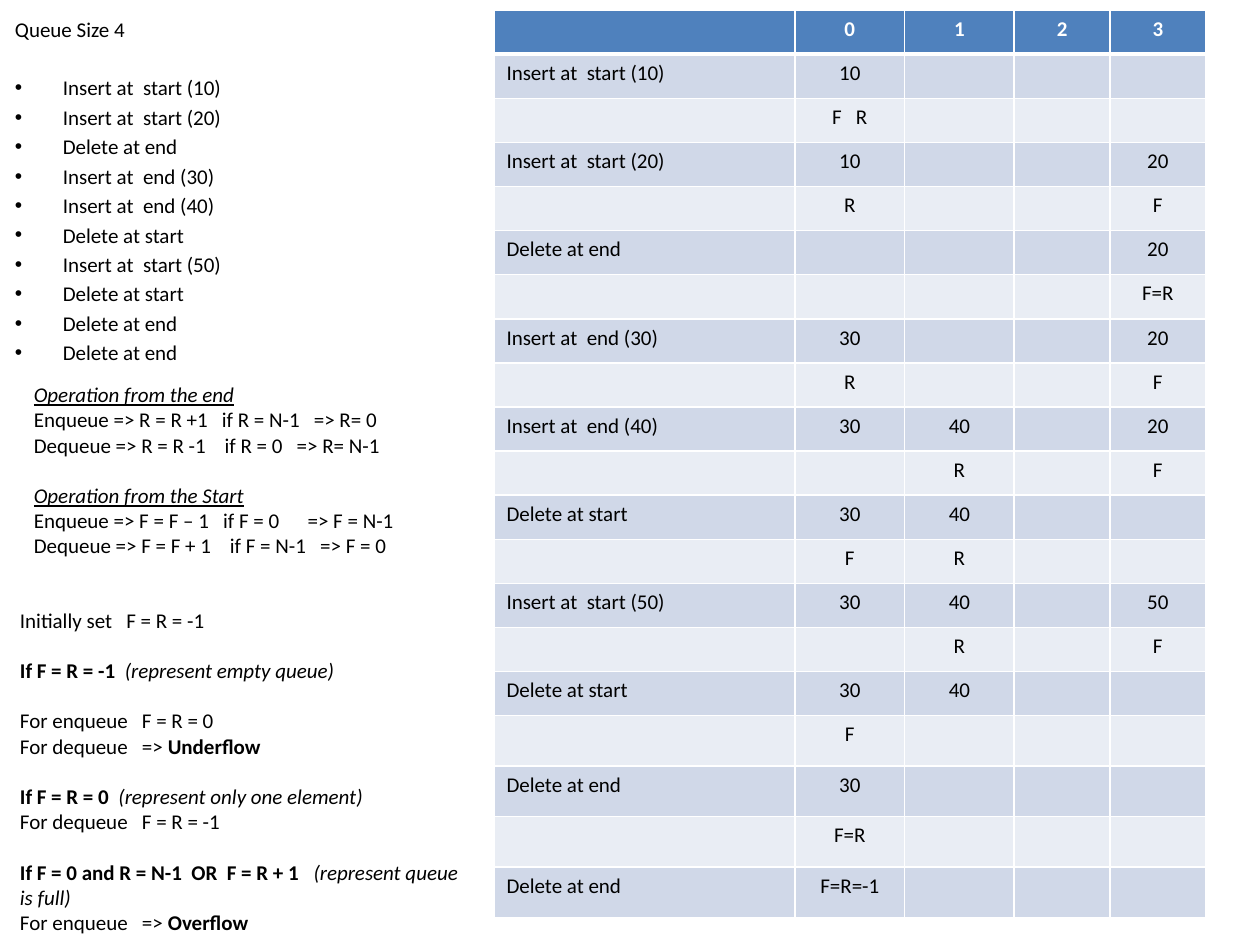
"""Build the slide tracing a double-ended queue of size 4."""
import lxml.etree
import pptx
import pptx.dml.color
import pptx.enum.text
import pptx.oxml.ns
import pptx.util

Inches, Pt = pptx.util.Inches, pptx.util.Pt
qn = pptx.oxml.ns.qn
hue = pptx.dml.color.RGBColor.from_string


def write(par, text, color="000000", bold=False, italic=False, under=False):
    run = par.add_run()
    run.text = text
    font = run.font
    font.name, font.size = "Calibri", Pt(12)
    font.bold, font.italic, font.underline = bold, italic, under
    font.color.rgb = hue(color)


def place(slide, left, top, width, height, lines):
    box = slide.shapes.add_textbox(Inches(left), Inches(top), Inches(width), Inches(height))
    frame = box.text_frame
    frame.word_wrap = True
    for i, (gap, runs) in enumerate(lines):
        par = frame.paragraphs[0] if i == 0 else frame.add_paragraph()
        par.space_before = Pt(gap)
        for text, style in runs:
            write(par, text, **style)
    return frame


deck = pptx.Presentation()
deck.slide_width, deck.slide_height = Inches(10), Inches(7.5)
slide = deck.slides.add_slide(deck.slide_layouts[6])

plain, bold, italic = {}, {"bold": True}, {"italic": True}
head = {"italic": True, "under": True}
blank = 14.4

steps = [
    "Insert at  start (10)", "Insert at  start (20)", "Delete at end",
    "Insert at  end (30)", "Insert at  end (40)", "Delete at start",
    "Insert at  start (50)", "Delete at start", "Delete at end", "Delete at end",
]
lines = [(2.4, [("Queue Size 4", plain)])]
lines += [(2.4 if i else 19.2, [(step, plain)]) for i, step in enumerate(steps)]
frame = place(slide, 0.02, 0.08, 2.08, 2.93, lines)
for par in frame.paragraphs[1:]:
    props = par._p.get_or_add_pPr()
    props.set("marL", str(Inches(0.38)))
    props.set("indent", str(-Inches(0.38)))
    lxml.etree.SubElement(props, qn("a:buFont")).set("typeface", "Arial")
    lxml.etree.SubElement(props, qn("a:buChar")).set("char", "•")

marks = [
    (["10", "", "", ""], ["F   R", "", "", ""]),
    (["10", "", "", "20"], ["R", "", "", "F"]),
    (["", "", "", "20"], ["", "", "", "F=R"]),
    (["30", "", "", "20"], ["R", "", "", "F"]),
    (["30", "40", "", "20"], ["", "R", "", "F"]),
    (["30", "40", "", ""], ["F", "R", "", ""]),
    (["30", "40", "", "50"], ["", "R", "", "F"]),
    (["30", "40", "", ""], ["F", "", "", ""]),
    (["30", "", "", ""], ["F=R", "", "", ""]),
]
rows = [["", "0", "1", "2", "3"]]
for step, (values, ends) in zip(steps, marks):
    rows += [[step] + values, [""] + ends]
rows.append([steps[-1], "F=R=-1", "", "", ""])

widths = [2.39, 0.87, 0.87, 0.76, 0.76]
table = slide.shapes.add_table(
    len(rows), len(widths), Inches(3.92), Inches(0.08), Inches(5.67), Inches(7.14)
).table
for col, width in zip(table.columns, widths):
    col.width = Inches(width)
for i, row in enumerate(rows):
    table.rows[i].height = Inches(0.35 if i < 16 else 0.38)
    for j, text in enumerate(row):
        cell = table.cell(i, j)
        cell.fill.solid()
        cell.fill.fore_color.rgb = hue("4F81BD" if i == 0 else "D0D8E8" if i % 2 else "E9EDF4")
        props = cell._tc.get_or_add_tcPr()
        for k, side in enumerate(["lnL", "lnR", "lnT", "lnB"]):
            thick = (i == 0 and side == "lnB") or (i == 1 and side == "lnT")
            edge = lxml.etree.Element(qn("a:" + side), w=str(Pt(3 if thick else 1)))
            fill = lxml.etree.SubElement(edge, qn("a:solidFill"))
            lxml.etree.SubElement(fill, qn("a:srgbClr")).set("val", "FFFFFF")
            props.insert(k, edge)
        par = cell.text_frame.paragraphs[0]
        if j:
            par.alignment = pptx.enum.text.PP_ALIGN.CENTER
        if text:
            write(par, text, color="000000" if i else "FFFFFF", bold=i == 0)
        elif i < 16:
            lxml.etree.SubElement(par._p, qn("a:endParaRPr")).set("sz", "1200")

place(slide, 0.17, 2.98, 3.17, 1.51, [
    (0, [("Operation from the end", head)]),
    (0, [("Enqueue => R = R +1   if R = N-1   => R= 0", plain)]),
    (0, [("Dequeue => R = R -1    if R = 0   => R= N-1", plain)]),
    (blank, [("Operation from the Start", head)]),
    (0, [("Enqueue => F = F – 1   if F = 0      => F = N-1", plain)]),
    (0, [("Dequeue => F = F + 1    if F = N-1   => F = 0", plain)]),
])
place(slide, 0.06, 4.77, 3.75, 2.73, [
    (0, [("Initially set   F = R = -1", plain)]),
    (blank, [("If F = R = -1  ", bold), ("(represent empty queue)", italic)]),
    (blank, [("For enqueue   F = R = 0", plain)]),
    (0, [("For dequeue   => ", plain), ("Underflow", bold)]),
    (blank, [("If F = R = 0  ", bold), ("(represent only one element)", italic)]),
    (0, [("For dequeue   F = R = -1", plain)]),
    (blank, [("If F = 0 and R = N-1  OR  F = R + 1   ", bold),
             ("(represent queue is full)", italic)]),
    (0, [("For enqueue   => ", plain), ("Overflow", bold)]),
])
deck.save("out.pptx")
